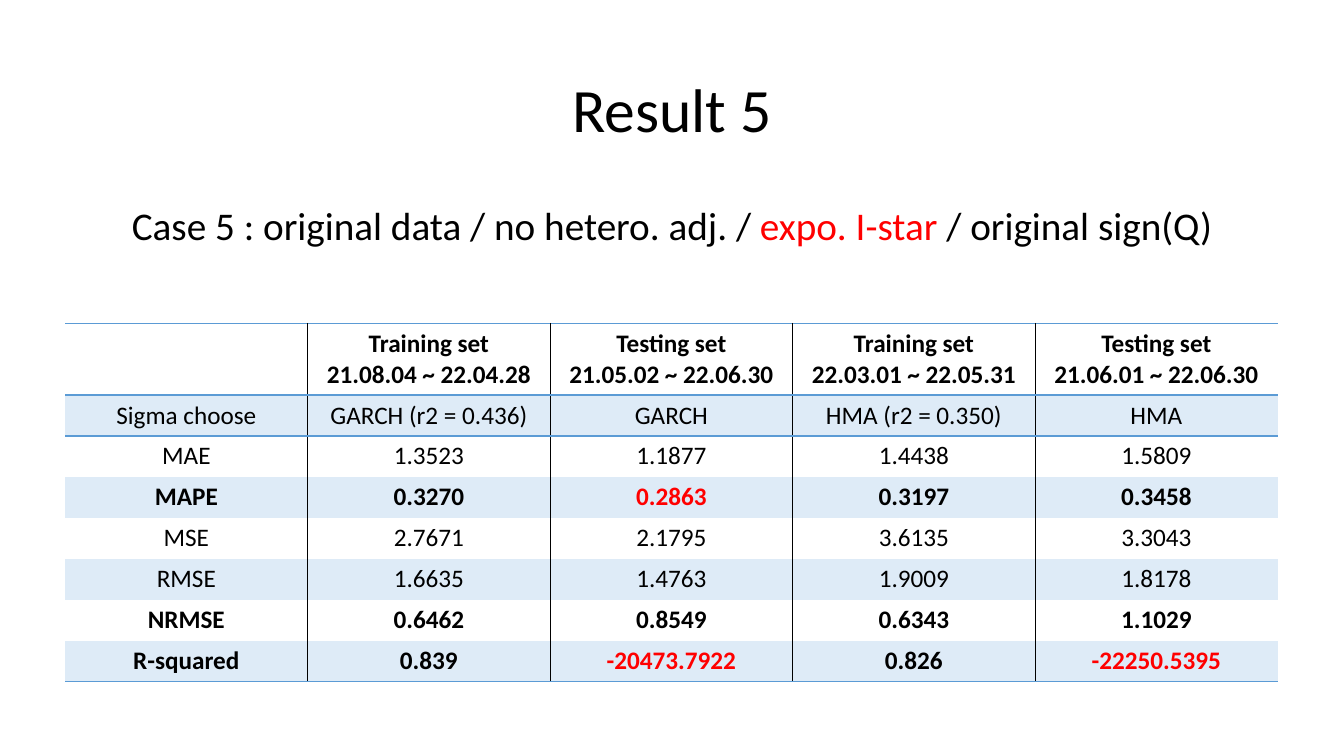
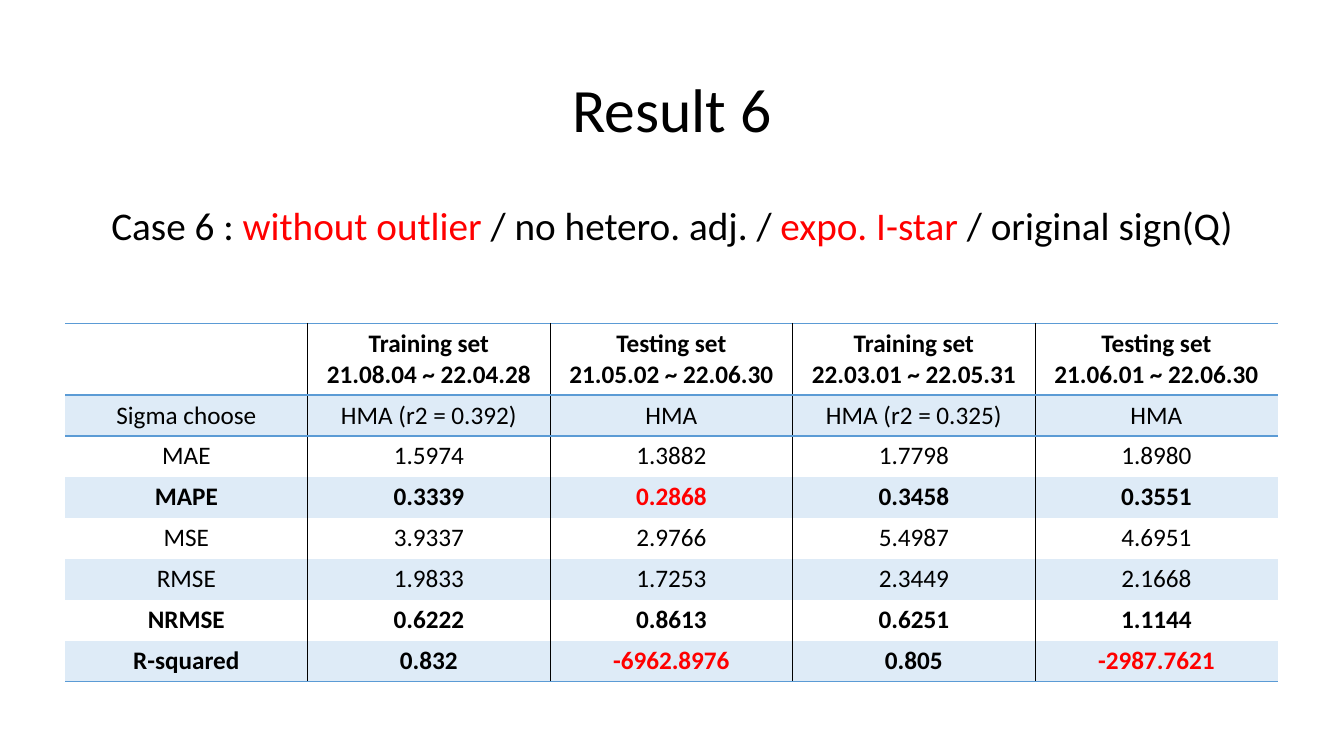
from lxml import etree
from pptx import Presentation
from pptx.dml.color import RGBColor
from pptx.enum.text import MSO_ANCHOR, MSO_AUTO_SIZE, PP_ALIGN
from pptx.oxml.ns import qn
from pptx.util import Emu, Pt

EMU_PER_PX = 9525
EMU_PER_POINT = 12700
NO_GRID_STYLE = "{2D5ABB26-0587-4C30-8999-92F81FD0307C}"


def px(length):
    return Emu(length * EMU_PER_PX)


def color(hex_value):
    return RGBColor.from_string(hex_value)


def set_attributes(target, values):
    for name, value in values.items():
        setattr(target, name, value)


class Deck:
    FONT = "Calibri"
    INK, ACCENT, RULE, BAND = "000000", "FF0000", "5B9BD5", "DEEBF7"
    RULE_WIDTH = 1
    DIVIDER_WIDTHS = (1, 0.5)
    COLUMN_WIDTH, HEADER_HEIGHT, ROW_HEIGHT = 231, 68, 39
    BOLD_ROWS = {"MAPE", "NRMSE", "R-squared"}

    def __init__(self):
        self.presentation = Presentation()
        set_attributes(self.presentation, {"slide_width": px(1280), "slide_height": px(720)})
        self.slide = None

    def add_slide(self, title):
        self.slide = self.presentation.slides.add_slide(self.presentation.slide_layouts[5])
        shape = self.slide.shapes.title
        set_attributes(shape, {"left": px(88), "top": px(38), "width": px(1104), "height": px(139)})
        self.format_frame(shape.text_frame, MSO_ANCHOR.MIDDLE)
        self.add_text(shape.text_frame.paragraphs[0], title, 44, line_spacing=0.9)

    def format_frame(self, frame, anchor):
        set_attributes(frame, {
            "word_wrap": True, "auto_size": MSO_AUTO_SIZE.NONE, "vertical_anchor": anchor,
        })

    def add_text(self, paragraph, marked_text, size, bold=False, line_spacing=1.0):
        set_attributes(paragraph, {"alignment": PP_ALIGN.CENTER, "line_spacing": line_spacing})
        for index, text in enumerate(marked_text.split("|")):
            if text:
                run = paragraph.add_run()
                run.text = text
                set_attributes(run.font, {"name": self.FONT, "size": Pt(size), "bold": bold})
                run.font.color.rgb = color(self.ACCENT if index % 2 else self.INK)

    def add_case(self, marked_text):
        shape = self.slide.shapes.add_textbox(px(88), px(192), px(1104), px(60))
        self.format_frame(shape.text_frame, MSO_ANCHOR.TOP)
        self.add_text(shape.text_frame.paragraphs[0], marked_text, 28, line_spacing=0.9)

    def add_table(self, rows):
        row_count, column_count = len(rows), len(rows[0])
        heights = [self.HEADER_HEIGHT] + [self.ROW_HEIGHT] * (row_count - 1)
        shape = self.slide.shapes.add_table(
            row_count, column_count, px(62), px(308),
            px(self.COLUMN_WIDTH * column_count), px(sum(heights)))
        table = shape.table
        set_attributes(table, {"first_row": False, "horz_banding": False})
        next(shape._element.iter(qn("a:tableStyleId"))).text = NO_GRID_STYLE
        for column in table.columns:
            column.width = px(self.COLUMN_WIDTH)
        for row_index, (row, height, texts) in enumerate(zip(table.rows, heights, rows)):
            row.height = px(height)
            bold = row_index == 0 or texts[0] in self.BOLD_ROWS
            for column_index, (cell, text) in enumerate(zip(row.cells, texts)):
                self.fill_cell(cell, text, bold, row_index % 2 == 1)
                self.add_borders(cell, row_index, column_index, row_count, column_count)

    def fill_cell(self, cell, text, bold, banded):
        for index, line in enumerate(text.split("\n")):
            frame = cell.text_frame
            paragraph = frame.add_paragraph() if index else frame.paragraphs[0]
            self.add_text(paragraph, line, 18, bold)
        if banded:
            cell.fill.solid()
            cell.fill.fore_color.rgb = color(self.BAND)
        else:
            cell.fill.background()

    def add_borders(self, cell, row_index, column_index, row_count, column_count):
        def divider(boundary):
            return self.INK, self.DIVIDER_WIDTHS[(boundary - 1) % 2]

        rule = self.RULE, self.RULE_WIDTH
        borders = {
            "a:lnL": divider(column_index) if column_index else None,
            "a:lnR": divider(column_index + 1) if column_index < column_count - 1 else None,
            "a:lnT": rule if row_index in (0, 1) else None,
            "a:lnB": rule if row_index in (0, row_count - 1) else None,
        }
        properties = cell._tc.get_or_add_tcPr()
        drawn = [(tag, border) for tag, border in borders.items() if border]
        for position, (tag, (hex_value, points)) in enumerate(drawn):
            line = etree.Element(qn(tag), w=str(int(points * EMU_PER_POINT)))
            fill = etree.SubElement(line, qn("a:solidFill"))
            etree.SubElement(fill, qn("a:srgbClr"), val=hex_value)
            properties.insert(position, line)


HEADER = (
    "",
    "Training set\n21.08.04 ~ 22.04.28",
    "Testing set\n21.05.02 ~ 22.06.30",
    "Training set\n22.03.01 ~ 22.05.31",
    "Testing set\n21.06.01 ~ 22.06.30",
)

RESULTS = (
    (
        "Result 5",
        "Case 5 : original data / no hetero. adj. / |expo. I-star |/ original sign(Q)",
        (
            ("Sigma choose", "GARCH (r2 = 0.436)", "GARCH", "HMA (r2 = 0.350)", "HMA"),
            ("MAE", "1.3523", "1.1877", "1.4438", "1.5809"),
            ("MAPE", "0.3270", "|0.2863", "0.3197", "0.3458"),
            ("MSE", "2.7671", "2.1795", "3.6135", "3.3043"),
            ("RMSE", "1.6635", "1.4763", "1.9009", "1.8178"),
            ("NRMSE", "0.6462", "0.8549", "0.6343", "1.1029"),
            ("R-squared", "0.839", "|-20473.7922", "0.826", "|-22250.5395"),
        ),
    ),
    (
        "Result 6",
        "Case 6 : |without outlier |/ no hetero. adj. / |expo. I-star |/ original sign(Q)",
        (
            ("Sigma choose", "HMA (r2 = 0.392)", "HMA", "HMA (r2 = 0.325)", "HMA"),
            ("MAE", "1.5974", "1.3882", "1.7798", "1.8980"),
            ("MAPE", "0.3339", "|0.2868", "0.3458", "0.3551"),
            ("MSE", "3.9337", "2.9766", "5.4987", "4.6951"),
            ("RMSE", "1.9833", "1.7253", "2.3449", "2.1668"),
            ("NRMSE", "0.6222", "0.8613", "0.6251", "1.1144"),
            ("R-squared", "0.832", "|-6962.8976", "0.805", "|-2987.7621"),
        ),
    ),
)


def main():
    deck = Deck()
    for title, case, rows in RESULTS:
        deck.add_slide(title)
        deck.add_case(case)
        deck.add_table((HEADER,) + rows)
    deck.presentation.save("out.pptx")


if __name__ == "__main__":
    main()
